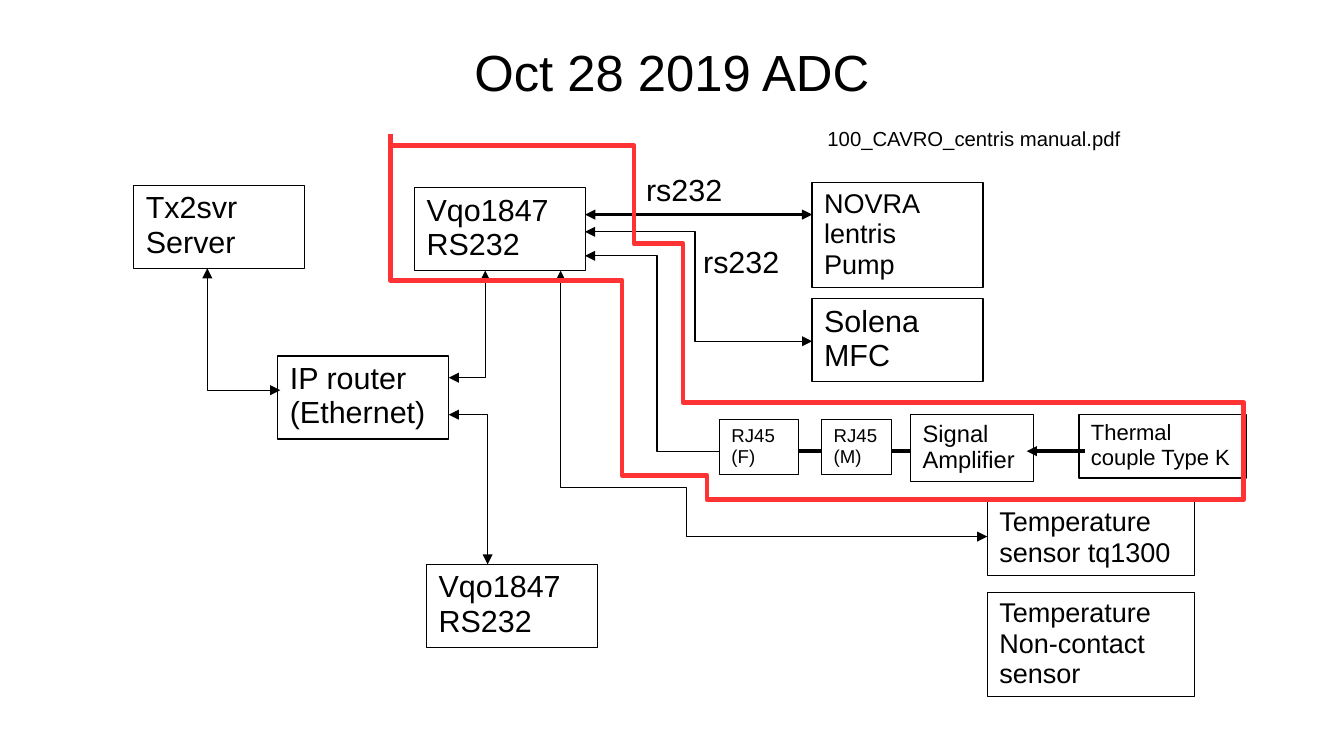
from pptx import Presentation
from pptx.dml.color import RGBColor
from pptx.enum.shapes import MSO_CONNECTOR, MSO_SHAPE
from pptx.enum.text import MSO_ANCHOR, PP_ALIGN
from pptx.oxml.ns import qn
from pptx.util import Cm, Pt
from lxml.etree import SubElement

BLACK = RGBColor(0x00, 0x00, 0x00)
RED = RGBColor(0xFF, 0x33, 0x33)
FONT = "Arial"
UNIT_W, UNIT_H = 3.56, 1.73
LABEL_W, LABEL_H = 2.54, 1.02
BOTH_ENDS = ("headEnd", "tailEnd")
START = ("headEnd",)


def write(frame, text, size, align=PP_ALIGN.LEFT, anchor=MSO_ANCHOR.TOP):
    frame.word_wrap = True
    frame.vertical_anchor = anchor
    frame.text = text
    for paragraph in frame.paragraphs:
        paragraph.alignment = align
        paragraph.line_spacing = 0.94
        paragraph.font.size = Pt(size)
        paragraph.font.name = FONT
        paragraph.font.color.rgb = BLACK


def add_unit(slide, left, top, text, size=18, width=UNIT_W, height=UNIT_H):
    unit = slide.shapes.add_shape(
        MSO_SHAPE.RECTANGLE, Cm(left), Cm(top), Cm(width), Cm(height))
    unit.shadow.inherit = False
    unit.fill.background()
    unit.line.color.rgb = BLACK
    unit.line.width = Pt(0)
    write(unit.text_frame, text, size)


def add_label(slide, left, top, text, size=18, width=LABEL_W, height=LABEL_H):
    label = slide.shapes.add_textbox(Cm(left), Cm(top), Cm(width), Cm(height))
    write(label.text_frame, text, size)


def add_wire(slide, left, top, points, arrows=(), color=BLACK, weight=0):
    corners = [(Cm(left + x), Cm(top + y)) for x, y in points]
    if len(corners) == 2:
        wire = slide.shapes.add_connector(
            MSO_CONNECTOR.STRAIGHT, *corners[0], *corners[1])
        SubElement(wire.element.spPr, qn("a:effectLst"))
    else:
        builder = slide.shapes.build_freeform(*corners[0])
        builder.add_line_segments(corners[1:], close=False)
        wire = builder.convert_to_shape()
        wire.shadow.inherit = False
        wire.fill.background()
    wire.line.color.rgb = color
    wire.line.width = Pt(weight)
    outline = wire.element.spPr.find(qn("a:ln"))
    for end in arrows:
        SubElement(outline, qn(f"a:{end}"), type="triangle")


def add_title(slide, left, top, width, height):
    title = slide.shapes.title
    title.left, title.top = Cm(left), Cm(top)
    title.width, title.height = Cm(width), Cm(height)
    frame = title.text_frame
    frame.margin_left = frame.margin_right = frame.margin_bottom = 0
    frame.margin_top = Cm(0.1)
    write(frame, "Oct 28 2019 ADC", 30, PP_ALIGN.CENTER, MSO_ANCHOR.MIDDLE)


def add_network(slide, left, top):
    for x, y, text in [
        (0, 0, "Tx2svr\nServer"),
        (5.85, 0.05, "Vqo1847 RS232"),
        (3, 3.56, "IP router (Ethernet)"),
        (6.1, 7.9, "Vqo1847 RS232"),
    ]:
        add_unit(slide, left + x, top + y, text)
    for points in [
        [(1.53, 1.73), (1.53, 4.27), (3.05, 4.27)],
        [(6.56, 4.01), (7.32, 4.01), (7.32, 1.78)],
        [(6.56, 4.78), (7.37, 4.78), (7.37, 7.9)],
    ]:
        add_wire(slide, left, top, points, BOTH_ENDS)


def add_serial_devices(slide, left, top):
    device_x = 4.73
    add_unit(slide, left + device_x, top + 1.27, "NOVRA lentris\nPump", 16, height=2.18)
    add_unit(slide, left + device_x, top + 3.68, "Solena MFC")
    add_wire(slide, left, top, [(0, 1.93), (device_x, 1.93)], BOTH_ENDS)
    add_wire(slide, left, top,
             [(0, 2.29), (2.29, 2.29), (2.29, 4.57), (device_x, 4.57)], BOTH_ENDS)
    for x, y in [(1.02, 0.97), (2.21, 2.46)]:
        add_label(slide, left + x, top + y, "rs232")
    add_label(slide, left + 4.8, top, "100_CAVRO_centris manual.pdf", 12, 6.63, 1.22)


def add_sensors(slide, left, top):
    sensor_x, chain_y = 8.89, 4.07
    for x, y, text, size, width, height in [
        (3.31, 3.41, "RJ45 (F)", 11, 1.65, 1.14),
        (5.44, 3.41, "RJ45 (M)", 11, 1.45, 1.14),
        (7.29, 3.31, "Signal Amplifier", 14, 2.57, 1.4),
        (10.8, 3.31, "Thermal couple Type K", 13, 3.48, 1.32),
        (sensor_x, 5.11, "Temperature sensor tq1300", 16, 4.32, 1.55),
        (sensor_x, 7.01, "Temperature Non-contact sensor", 16, 4.32, 2.18),
    ]:
        add_unit(slide, left + x, top + y, text, size, width, height)
    for points, arrows in [
        ([(0.51, 0), (2.01, 0), (2.01, chain_y), (3.31, chain_y)], START),
        ([(4.96, chain_y), (5.44, chain_y)], ()),
        ([(6.89, chain_y), (7.29, chain_y)], ()),
        ([(9.71, chain_y), (10.93, chain_y)], START),
        ([(0, 0.31), (0, 4.83), (2.62, 4.83), (2.62, 5.85), (sensor_x, 5.85)], BOTH_ENDS),
    ]:
        add_wire(slide, left, top, points, arrows)


def add_adc_boundary(slide, left, top):
    corners = [
        (0, 0.25), (5.08, 0.25), (5.08, 2.29), (6.1, 2.29), (6.1, 5.59),
        (17.78, 5.59), (17.78, 7.62), (6.6, 7.62), (6.6, 7.11),
        (4.83, 7.11), (4.83, 3.05), (0, 3.05), (0, 0),
    ]
    add_wire(slide, left, top, corners, color=RED, weight=2.89)


def main():
    deck = Presentation()
    deck.slide_width, deck.slide_height = Cm(28), Cm(15.75)
    slide = deck.slides.add_slide(deck.slide_layouts[5])
    add_title(slide, 1.4, 0.18, 25.2, 2.64)
    add_network(slide, 2.79, 3.86)
    add_serial_devices(slide, 12.19, 2.54)
    add_sensors(slide, 11.68, 5.33)
    add_adc_boundary(slide, 8.13, 2.79)
    deck.save("out.pptx")


if __name__ == "__main__":
    main()
